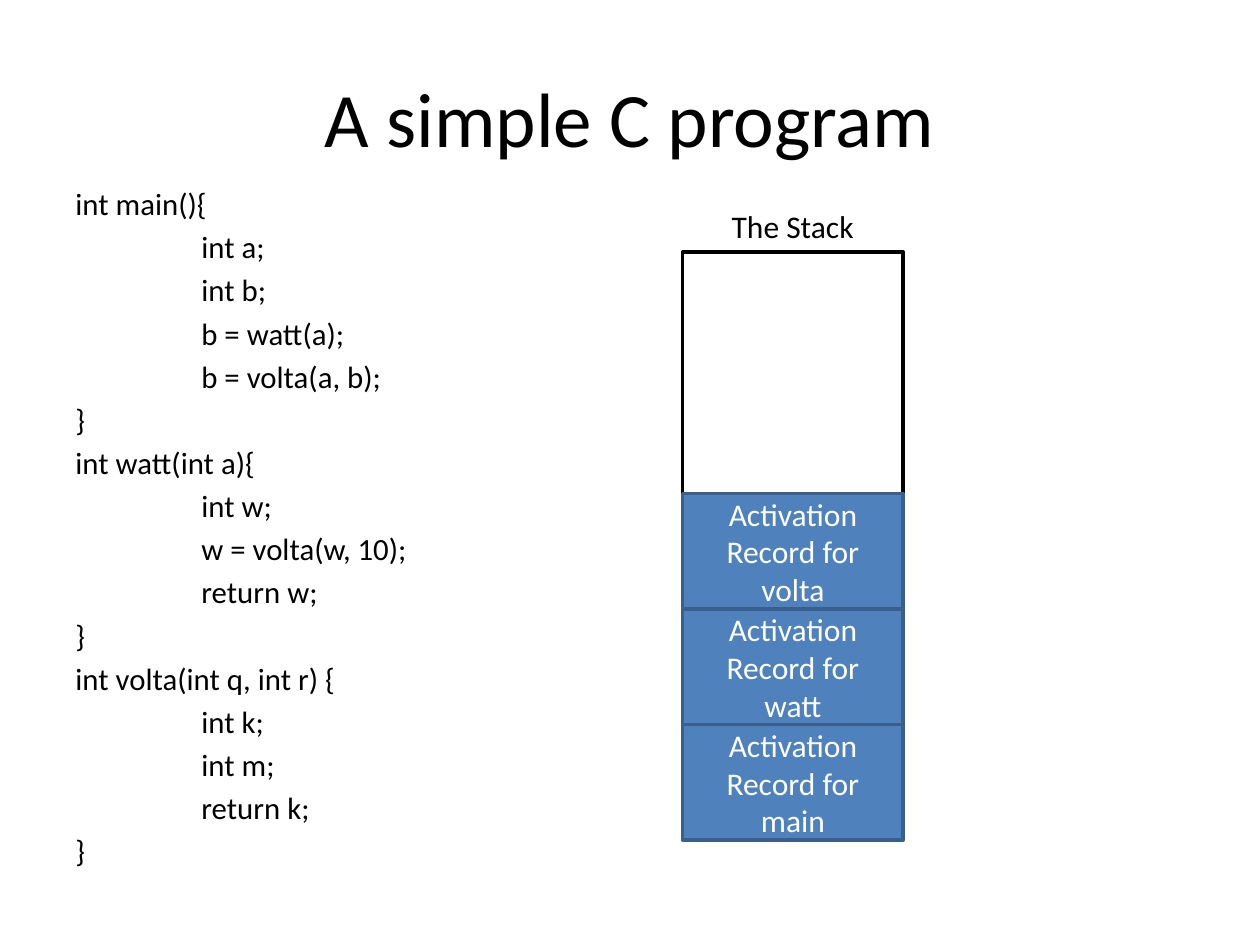
from lxml.etree import SubElement
from pptx import Presentation
from pptx.dml.color import RGBColor
from pptx.enum.shapes import MSO_SHAPE as SHAPE
from pptx.enum.text import MSO_ANCHOR as ANCHOR, PP_ALIGN as ALIGN
from pptx.oxml.ns import qn
from pptx.util import Cm, Pt

BLACK = RGBColor(0x00, 0x00, 0x00)
WHITE = RGBColor(0xFF, 0xFF, 0xFF)
BLUE = RGBColor(0x4F, 0x81, 0xBD)
DARK_BLUE = RGBColor(0x3A, 0x5F, 0x8C)

CODE = """int main(){
\tint a;
\tint b;
\tb = watt(a);
\tb = volta(a, b);
}
int watt(int a){
\tint w;
\tw = volta(w, 10);
\treturn w;
}
int volta(int q, int r) {
\tint k;
\tint m;
\treturn k;
}"""


def write(tf, text, size, color, align):
    tf.word_wrap = True
    tf.text = text
    for p in tf.paragraphs:
        p.alignment = align
        for r in p.runs:
            r.font.name = "Calibri"
            r.font.size = Pt(size)
            r.font.color.rgb = color


def add_box(top, height, line_color):
    sp = s.shapes.add_shape(SHAPE.RECTANGLE, STACK_LEFT, top, STACK_WIDTH, height)
    sp.shadow.inherit = False
    sp.line.color.rgb = line_color
    sp.line.width = Pt(2)
    return sp


prs = Presentation()
prs.slide_width, prs.slide_height = Cm(25.4), Cm(19.05)
s = prs.slides.add_slide(prs.slide_layouts[5])

# Title
title = s.shapes.title
title.left, title.top, title.width, title.height = Cm(1.27), Cm(0.76), Cm(22.86), Cm(3.18)
write(title.text_frame, "A simple C program", 44, BLACK, ALIGN.CENTER)
title.text_frame.vertical_anchor = ANCHOR.MIDDLE

# Program code, with a tab stop for the function bodies
code = s.shapes.add_textbox(Cm(1.27), Cm(3.6), Cm(11.23), Cm(13.41))
write(code.text_frame, CODE, 17.6, BLACK, ALIGN.LEFT)
for p in code.text_frame.paragraphs[1:]:
    p.space_before = Pt(3.55)
    if p.text.startswith("\t"):
        tabs = SubElement(p._p.get_or_add_pPr(), qn("a:tabLst"))
        SubElement(tabs, qn("a:tab"), pos=str(Cm(2.54)), algn="l")

# Free part of the stack and its label
STACK_LEFT, STACK_WIDTH = Cm(13.76), Cm(4.45)
STACK_TOP, FREE_HEIGHT = Cm(5.08), Cm(9.53)
add_box(STACK_TOP, FREE_HEIGHT, BLACK).fill.background()
label = s.shapes.add_textbox(Cm(14.39), Cm(4.05), Cm(3.18), Cm(1.02))
write(label.text_frame, "The Stack", 18, BLACK, ALIGN.CENTER)

# Activation records, growing upwards
RECORD_HEIGHT = Cm(2.33)
for i, name in enumerate(["main", "watt", "volta"]):
    top = STACK_TOP + FREE_HEIGHT - i * RECORD_HEIGHT
    record = add_box(top, RECORD_HEIGHT, DARK_BLUE)
    record.fill.solid()
    record.fill.fore_color.rgb = BLUE
    write(record.text_frame, f"Activation Record for {name}", 18, WHITE, ALIGN.CENTER)
    record.text_frame.vertical_anchor = ANCHOR.MIDDLE

prs.save("out.pptx")
